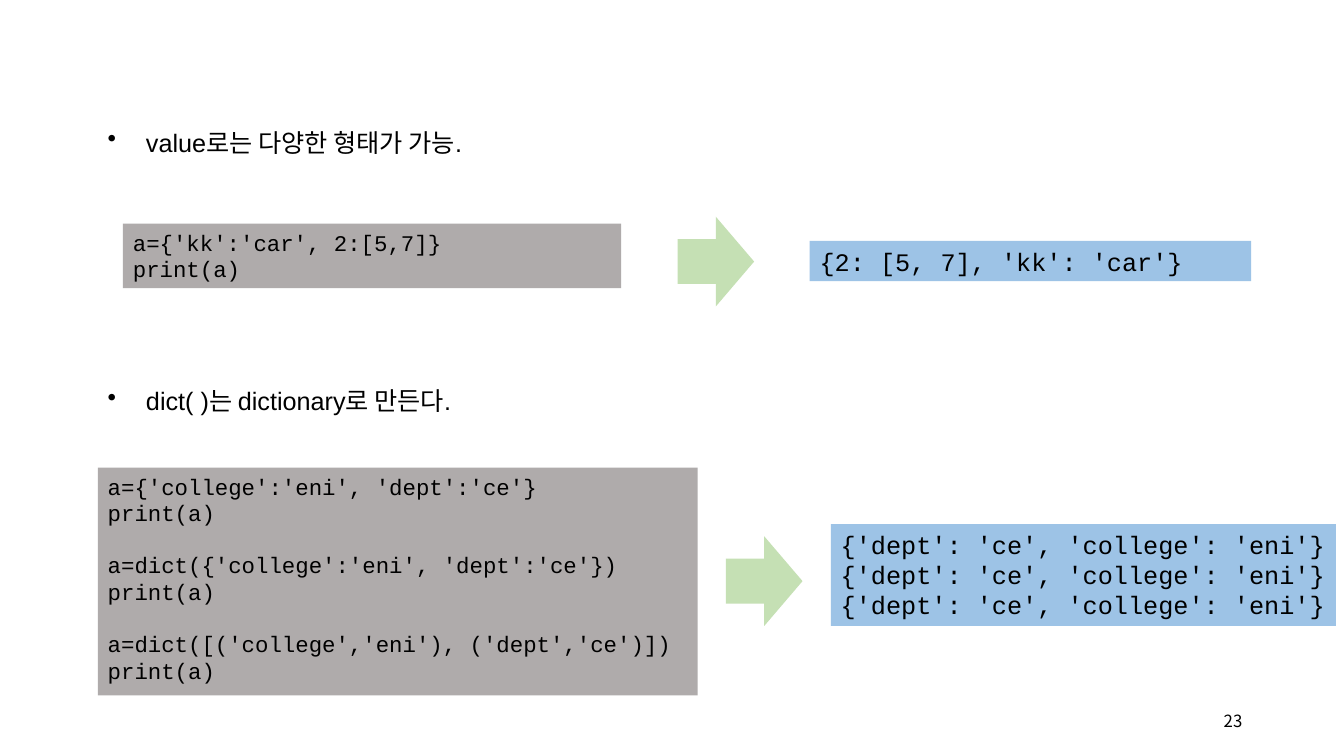
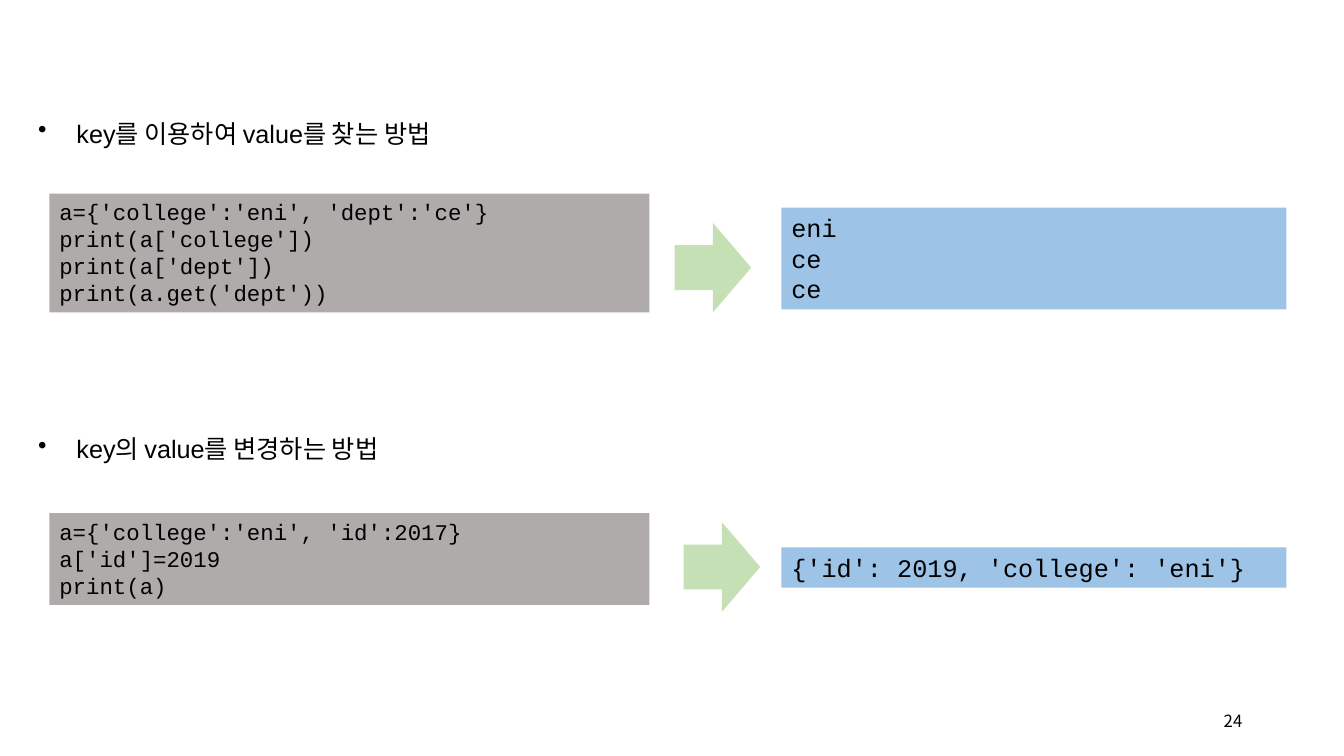
"""Build two slides on Python dictionaries: headings, code and printed results."""
import pptx
import pptx.util
import pptx.dml.color
import pptx.enum.shapes
import pptx.enum.text
import pptx.oxml
import pptx.oxml.ns

Inches = pptx.util.Inches
Pt = pptx.util.Pt
SHAPES = pptx.enum.shapes.MSO_SHAPE
COLORS = {"text": "000000", "code": "AFABAB", "result": "9DC3E6", "arrow": "C5E0B4"}
KOREAN_FONT = "Noto Sans CJK KR"
BULLET = '<a:buChar %s char="•"/>' % pptx.oxml.ns.nsdecls("a")
EAST_ASIAN = '<a:ea %s typeface="%s"/>' % (pptx.oxml.ns.nsdecls("a"), KOREAN_FONT)


def write(box, text, size, font):
    """Put left-aligned text into a box and format it."""
    frame = box.text_frame
    frame.text = text
    frame.word_wrap = True
    frame.vertical_anchor = pptx.enum.text.MSO_ANCHOR.TOP
    for paragraph in frame.paragraphs:
        paragraph.alignment = pptx.enum.text.PP_ALIGN.LEFT
        for run in paragraph.runs:
            run.font.size = Pt(size)
            run.font.name = font
            run.font.color.rgb = pptx.dml.color.RGBColor.from_string(COLORS["text"])
    return frame.paragraphs


def add_block(slide, kind, color, left, top, width, height):
    """Add a flat filled shape without outline or shadow."""
    block = slide.shapes.add_shape(kind, Inches(left), Inches(top), Inches(width), Inches(height))
    block.shadow.inherit = False
    block.fill.solid()
    block.fill.fore_color.rgb = pptx.dml.color.RGBColor.from_string(COLORS[color])
    block.line.fill.background()
    return block


lessons = [
    ("23", [
        {"heading": ("value로는 다양한 형태가 가능.", 0.97, 1.06, 4.06),
         "code": ("a={'kk':'car', 2:[5,7]}\nprint(a)", 1.22, 2.22, 4.94, 0.64),
         "arrow": (6.72, 2.15),
         "result": ("{2: [5, 7], 'kk': 'car'}", 8.03, 2.39, 4.38, 0.4)},
        {"heading": ("dict( )는 dictionary로 만든다.", 0.97, 3.62, 3.83),
         "code": ("a={'college':'eni', 'dept':'ce'}\nprint(a)\n"
                  "a=dict({'college':'eni', 'dept':'ce'})\nprint(a)\n"
                  "a=dict([('college','eni'), ('dept','ce')])\nprint(a)",
                  0.97, 4.64, 5.95, 2.26),
         "arrow": (7.2, 5.32),
         "result": ("\n".join(["{'dept': 'ce', 'college': 'eni'}"] * 3), 8.24, 5.2, 5.01, 1.01)},
    ]),
    ("24", [
        {"heading": ("key를 이용하여 value를 찾는 방법", 0.28, 0.97, 4.38),
         "code": ("a={'college':'eni', 'dept':'ce'}\nprint(a['college'])\n"
                  "print(a['dept'])\nprint(a.get('dept'))", 0.49, 1.92, 5.95, 1.18),
         "arrow": (6.69, 2.21),
         "result": ("eni\nce\nce", 7.75, 2.06, 5.01, 1.01)},
        {"heading": ("key의 value를 변경하는 방법", 0.28, 4.1, 3.81),
         "code": ("a={'college':'eni', 'id':2017}\na['id']=2019\nprint(a)", 0.49, 5.09, 5.95, 0.91),
         "arrow": (6.78, 5.18),
         "result": ("{'id': 2019, 'college': 'eni'}", 7.75, 5.43, 5.01, 0.4)},
    ]),
]

deck = pptx.Presentation()
deck.slide_width = Inches(13.33)
deck.slide_height = Inches(7.5)

for number, examples in lessons:
    slide = deck.slides.add_slide(deck.slide_layouts[6])

    page_number = slide.shapes.add_textbox(Inches(11.87), Inches(6.95), Inches(0.55), Inches(0.4))
    write(page_number, number, 12, KOREAN_FONT)[0].alignment = pptx.enum.text.PP_ALIGN.RIGHT
    page_number.text_frame.vertical_anchor = pptx.enum.text.MSO_ANCHOR.MIDDLE

    for example in examples:
        words, left, top, width = example["heading"]
        heading = slide.shapes.add_textbox(Inches(left), Inches(top), Inches(width), Inches(0.56))
        topic = write(heading, words, 18, "Arial")[0]
        topic.line_spacing = 1.5
        indents = topic._p.get_or_add_pPr()
        indents.set("marL", str(Inches(0.38)))
        indents.set("indent", str(-Inches(0.38)))
        indents.append(pptx.oxml.parse_xml(BULLET))
        topic.runs[0].font._element.append(pptx.oxml.parse_xml(EAST_ASIAN))

        words, *area = example["result"]
        write(add_block(slide, SHAPES.RECTANGLE, "result", *area), words, 18, "Courier New")

        add_block(slide, SHAPES.RIGHT_ARROW, "arrow", *example["arrow"], 0.76, 0.89)

        words, *area = example["code"]
        statements = write(add_block(slide, SHAPES.RECTANGLE, "code", *area), words, 16, "Courier New")
        for statement in statements[1:]:
            if statement.text.startswith("a="):
                statement.space_before = Pt(18)

deck.save("out.pptx")
